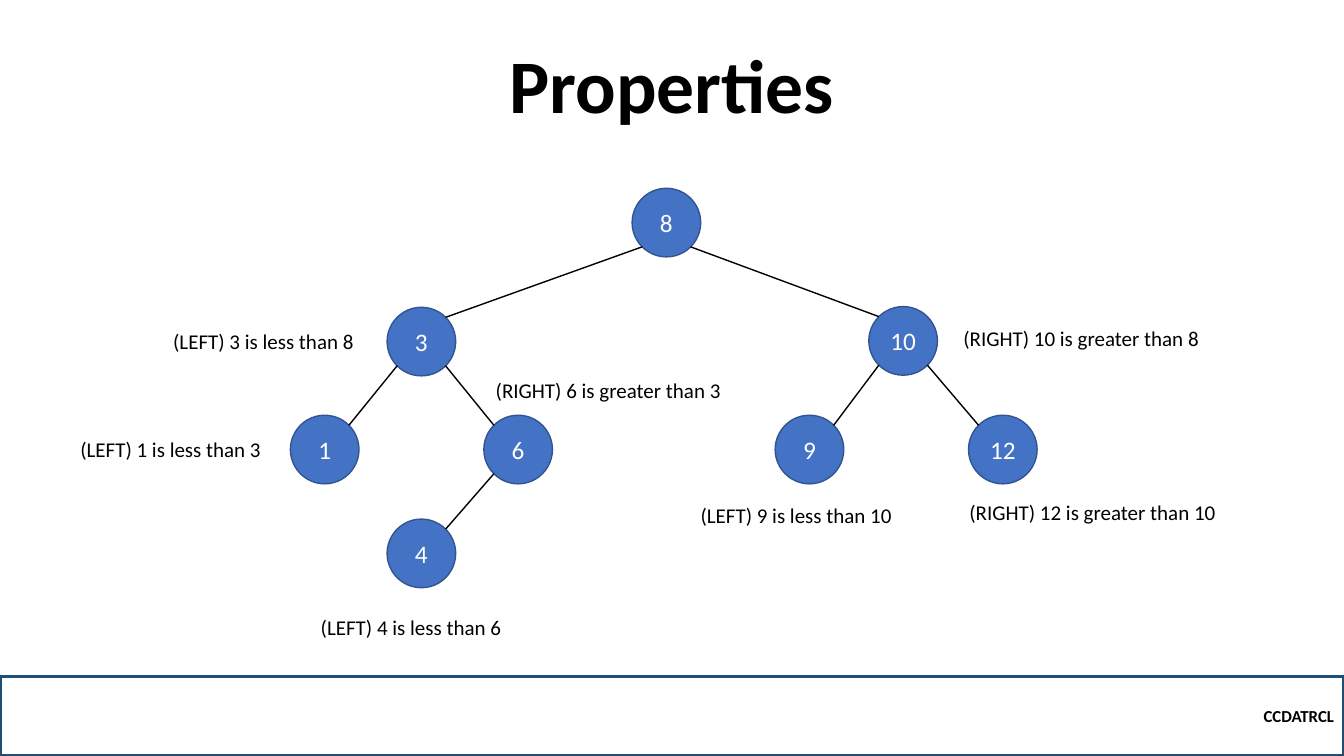
from dataclasses import dataclass
from math import sqrt
from typing import Optional

from lxml import etree
from pptx import Presentation
from pptx.dml.color import RGBColor
from pptx.enum.shapes import MSO_CONNECTOR, MSO_SHAPE
from pptx.enum.text import MSO_ANCHOR, PP_ALIGN
from pptx.oxml.ns import qn
from pptx.util import Pt

BLACK = RGBColor(0x00, 0x00, 0x00)
WHITE = RGBColor(0xFF, 0xFF, 0xFF)
NODE_FILL = RGBColor(0x44, 0x72, 0xC4)
NODE_LINE = RGBColor(0x32, 0x54, 0x91)
FOOTER_LINE = RGBColor(0x1F, 0x4E, 0x79)
FONT = "Calibri"
SLIDE_W, SLIDE_H = 960, 540
DIAMETER = 49
DIAGONAL = DIAMETER / 2 / sqrt(2)  # centre to a diagonal point of the circle


@dataclass(frozen=True)
class Label:
    left: float
    top: float
    width: float


@dataclass(frozen=True)
class Node:
    value: int
    left: float
    top: float
    parent: Optional[int] = None
    label: Optional[Label] = None

    @property
    def center(self) -> tuple[float, float]:
        return self.left + DIAMETER / 2, self.top + DIAMETER / 2


NODES = [
    Node(8, 451.5, 134.5),
    Node(3, 276.5, 219.5, 8, Label(116.6, 231.1, 146.5)),
    Node(10, 620.6, 219, 8, Label(681, 229, 184)),
    Node(1, 207.4, 296.6, 3, Label(50.3, 308.2, 146.5)),
    Node(6, 345.6, 296.6, 3, Label(347, 266.4, 181)),
    Node(4, 276.5, 370.8, 6, Label(222, 435.6, 158)),
    Node(9, 553.7, 296.6, 10, Label(493.3, 355.7, 158)),
    Node(12, 691.8, 296.6, 10, Label(685.3, 353.5, 195)),
]
BY_VALUE = {node.value: node for node in NODES}

prs = Presentation()
prs.slide_width, prs.slide_height = Pt(SLIDE_W), Pt(SLIDE_H)
slide = prs.slides.add_slide(prs.slide_layouts[6])
shapes = slide.shapes


def write(shape, text: str, size: float, color: RGBColor, align: PP_ALIGN,
          anchor: MSO_ANCHOR = MSO_ANCHOR.MIDDLE, bold: bool = False):
    frame = shape.text_frame
    frame.word_wrap = True
    frame.vertical_anchor = anchor
    paragraph = frame.paragraphs[0]
    paragraph.alignment = align
    run = paragraph.add_run()
    run.text = text
    run.font.name, run.font.size, run.font.bold = FONT, Pt(size), bold
    run.font.color.rgb = color
    return paragraph


def add_box(kind: MSO_SHAPE, left: float, top: float, width: float, height: float,
            fill: Optional[RGBColor], line: RGBColor, line_width: float):
    shape = shapes.add_shape(kind, Pt(left), Pt(top), Pt(width), Pt(height))
    shape.shadow.inherit = False
    if fill is None:
        shape.fill.background()
    else:
        shape.fill.solid()
        shape.fill.fore_color.rgb = fill
    shape.line.color.rgb = line
    shape.line.width = Pt(line_width)
    return shape


def add_edge(parent: Node, child: Node) -> None:
    (px, py), (cx, cy) = parent.center, child.center
    side = 1 if cx > px else -1
    edge = shapes.add_connector(
        MSO_CONNECTOR.STRAIGHT,
        Pt(px + side * DIAGONAL), Pt(py + DIAGONAL),
        Pt(cx - side * DIAGONAL), Pt(cy - DIAGONAL))
    edge.line.color.rgb = BLACK
    edge.line.width = Pt(1)
    etree.SubElement(edge._element.spPr, qn("a:effectLst"))


def add_node(node: Node) -> None:
    circle = add_box(MSO_SHAPE.OVAL, node.left, node.top, DIAMETER, DIAMETER,
                     NODE_FILL, NODE_LINE, 1)
    frame = circle.text_frame
    frame.margin_left = frame.margin_right = Pt(0)
    write(circle, str(node.value), 18, WHITE, PP_ALIGN.CENTER)


def add_label(node: Node, label: Label) -> None:
    relation = ("(LEFT) {} is less than {}" if node.value < node.parent
                else "(RIGHT) {} is greater than {}")
    box = shapes.add_textbox(Pt(label.left), Pt(label.top), Pt(label.width), Pt(25.4))
    write(box, relation.format(node.value, node.parent), 15, BLACK,
          PP_ALIGN.LEFT, MSO_ANCHOR.TOP)


# Title
title = shapes.add_textbox(Pt(120), Pt(39), Pt(720), Pt(57))
write(title, "Properties", 54, BLACK, PP_ALIGN.CENTER,
      MSO_ANCHOR.BOTTOM, bold=True).line_spacing = 0.9

# Footer
footer = add_box(MSO_SHAPE.RECTANGLE, 0, 483, SLIDE_W, 57, None, FOOTER_LINE, 2.25)
write(footer, "CCDATRCL", 12, BLACK, PP_ALIGN.RIGHT, bold=True)

# Search tree: circles, edges, and the rule each child follows
for node in NODES:
    add_node(node)
for node in NODES:
    if node.parent is not None:
        add_edge(BY_VALUE[node.parent], node)
    if node.label is not None:
        add_label(node, node.label)

prs.save("out.pptx")
